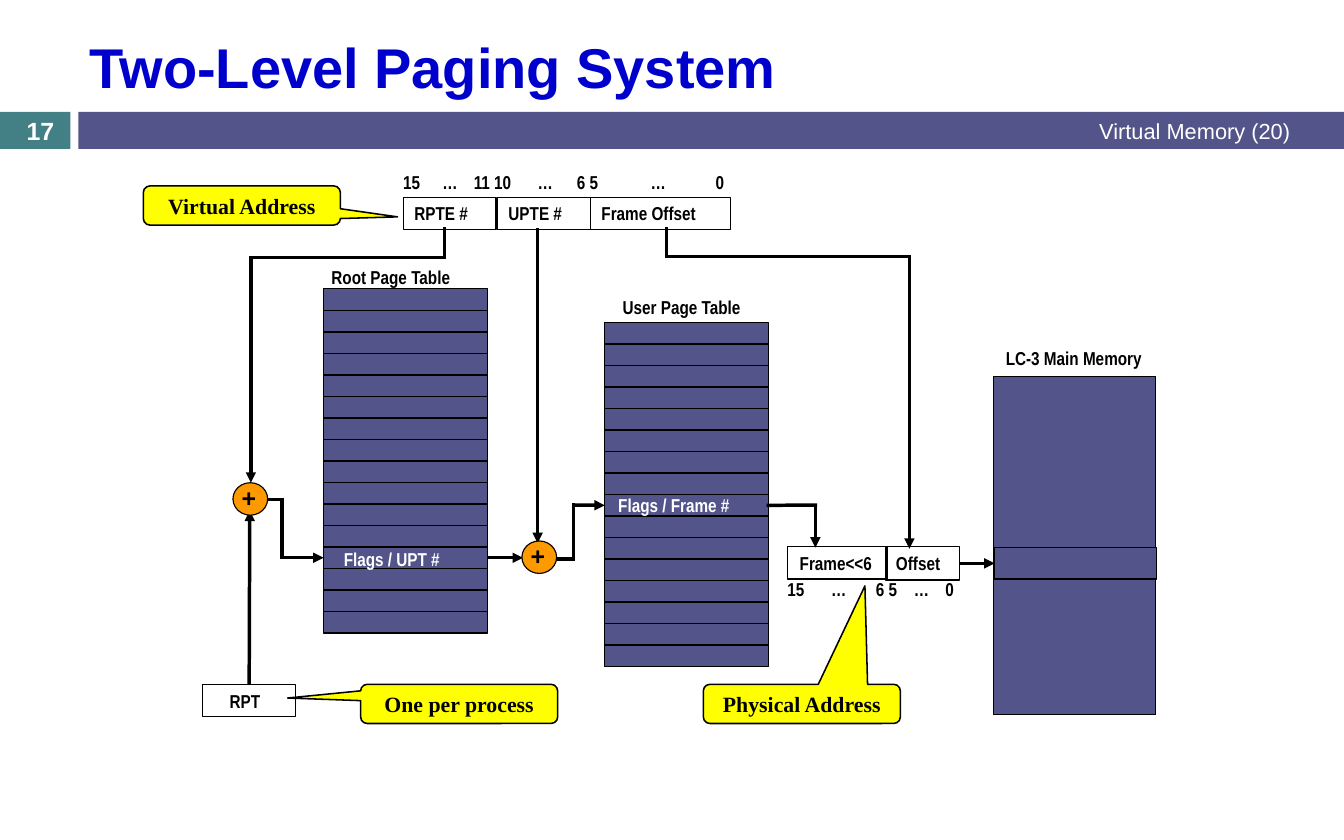
from lxml.etree import SubElement as Sub
from pptx import Presentation as Deck
from pptx.dml.color import RGBColor as Rgb
from pptx.enum.shapes import MSO_CONNECTOR as Conn, MSO_SHAPE as Kind
from pptx.enum.text import MSO_ANCHOR as Anchor, MSO_AUTO_SIZE as Auto, PP_ALIGN as Align
from pptx.oxml.ns import qn
from pptx.util import Inches, Pt

HUE = {"ink": "000000", "white": "FFFFFF", "teal": "438086", "slate": "53548A",
       "title": "0000CC", "note": "FFFF00", "sum": "FF9900"}
FONT = {
    "label": {"name": "Arial Narrow", "size": Pt(12), "bold": True},
    "note": {"name": "Times New Roman", "size": Pt(14), "bold": True},
    "sum": {"name": "Arial", "size": Pt(16), "bold": True},
    "head": {"name": "Arial", "size": Pt(14), "bold": False},
    "title": {"name": "Arial", "size": Pt(36), "bold": True},
}
FLUSH = {"margin_left": 0, "margin_top": 0, "margin_right": 0, "margin_bottom": 0}
ROWS, STEP = 16, 0.192


def put(item, form):
    for key, val in form.items():
        setattr(item, key, val)


def tint(name):
    return Rgb.from_string(HUE[name])


class Pen:
    def __init__(self, slide):
        self.slide = slide
        self.shapes = slide.shapes

    def words(self, frame, text, font, hue="ink", align=Align.LEFT, **form):
        put(frame, {"word_wrap": True, **form})
        para = frame.paragraphs[0]
        para.alignment = align
        run = para.add_run()
        run.text = text
        put(run.font, FONT[font])
        run.font.color.rgb = tint(hue)
        return para

    def title(self, text, *box):
        head = self.shapes.title
        put(head, dict(zip(("left", "top", "width", "height"), map(Inches, box))))
        self.words(head.text_frame, text, "title", "title", vertical_anchor=Anchor.MIDDLE)

    def shape(self, kind, box, fill=None, edge=0.75):
        item = self.shapes.add_shape(kind, *map(Inches, box))
        item.shadow.inherit = False
        if fill:
            item.fill.solid()
            item.fill.fore_color.rgb = tint(fill)
        else:
            item.fill.background()
        if edge:
            item.line.color.rgb = tint("ink")
            item.line.width = Pt(edge)
        else:
            item.line.fill.background()
        return item

    def box(self, *box, fill=None, edge=0.75):
        return self.shape(Kind.RECTANGLE, box, fill, edge)

    def text(self, text, *box, font="label", hue="ink", align=Align.LEFT, **form):
        item = self.shapes.add_textbox(*map(Inches, box))
        return self.words(item.text_frame, text, font, hue, align, **form)

    def label(self, text, left, top, width, hue="ink"):
        return self.text(text, left, top, width, 0.2, hue=hue,
                         auto_size=Auto.SHAPE_TO_FIT_TEXT, **FLUSH)

    def bits(self, marks, left, top, width, stops):
        para = self.label("\t".join(marks), left, top, width)
        tabs = Sub(para._p.get_or_add_pPr(), qn("a:tabLst"))
        for stop in stops:
            Sub(tabs, qn("a:tab"), pos=str(Inches(stop)), algn="l")

    def table(self, left, top):
        return [self.box(left, top + i * STEP, 1.46, STEP, fill="slate")
                for i in range(ROWS)]

    def adder(self, left, top):
        self.shape(Kind.OVAL, (left, top, 0.31, 0.29), "sum")
        self.text("+", left - 0.02, top - 0.05, 0.52, 0.37, font="sum")

    def note(self, text, left, top, tip):
        item = self.shape(Kind.ROUNDED_RECTANGULAR_CALLOUT, (left, top, 1.76, 0.35), "note", 1)
        for i, val in enumerate(tip):
            item.adjustments[i] = val
        self.words(item.text_frame, text, "note", align=Align.CENTER,
                   vertical_anchor=Anchor.MIDDLE, **FLUSH)

    def line(self, start, end, arrow):
        item = self.shapes.add_connector(Conn.STRAIGHT, *map(Inches, start + end))
        item.line.color.rgb = tint("ink")
        item.line.width = Pt(2.25)
        edge = item.line._get_or_add_ln()
        if arrow:
            Sub(edge, qn("a:tailEnd"), type="triangle")
        else:
            edge.set("cap", "sq")
        Sub(item._element.spPr, qn("a:effectLst"))
        return item

    def route(self, *spots, arrow=True, start=None, end=None):
        last = len(spots) - 2
        parts = [self.line(a, b, arrow and i == last)
                 for i, (a, b) in enumerate(zip(spots, spots[1:]))]
        if start:
            parts[0].begin_connect(*start)
        if end:
            parts[-1].end_connect(*end)


def main():
    deck = Deck()
    put(deck, {"slide_width": Inches(12), "slide_height": Inches(7.5)})
    pen = Pen(deck.slides.add_slide(deck.slide_layouts[5]))

    pen.box(0, 1, 0.63, 0.33, fill="teal", edge=0)
    pen.box(0.7, 1, 11.3, 0.33, fill="slate", edge=0)
    pen.title("Two-Level Paging System", 0.7, 0.19, 10.91, 0.8)
    pen.text("Virtual Memory (20)", 6.17, 1, 5.45, 0.33, font="head", hue="white",
             align=Align.RIGHT, vertical_anchor=Anchor.MIDDLE)
    pen.text("17", 0, 1.02, 0.72, 0.3, font="sum", hue="white",
             align=Align.CENTER, vertical_anchor=Anchor.MIDDLE)

    for name, left, width in (("RPTE #", 3.6, 0.83), ("UPTE #", 4.44, 0.83),
                              ("Frame Offset", 5.27, 1.25)):
        pen.box(left, 1.76, width, 0.29)
        pen.label(name, left + 0.1, 1.8, width)
    pen.bits(("15", "…", "11 10", "…", "6 5", "…", "0"), 3.6, 1.53, 3.02,
             (0.35, 0.63, 1.2, 1.55, 2.21, 2.79))

    root = pen.table(2.89, 2.58)[12]
    user = pen.table(5.4, 2.88)[8]
    pen.label("Root Page Table", 2.96, 2.37, 1.36)
    pen.label("User Page Table", 5.56, 2.64, 1.36)
    pen.label("Flags / UPT #", 3.07, 4.89, 1.16, "white")
    pen.label("Flags / Frame #", 5.52, 4.41, 1.32, "white")

    base = pen.box(1.81, 6.11, 0.83, 0.29)
    pen.label("RPT", 2.05, 6.16, 0.73)
    pen.box(7.03, 4.88, 0.89, 0.29)
    pen.label("Frame<<6", 7.14, 4.93, 0.85)
    shift = pen.box(7.91, 4.88, 0.66, 0.3)
    pen.label("Offset", 8, 4.93, 0.73)
    pen.bits(("15", "…", "6 5", "…", "0"), 7.03, 5.16, 1.58, (0.39, 0.79, 1.13, 1.41))

    pen.box(8.87, 3.36, 1.45, 3.02, fill="slate")
    pen.label("LC-3 Main Memory", 8.98, 3.1, 1.25)
    cell = pen.box(8.88, 4.89, 1.45, 0.28, fill="slate")

    pen.route((3.97, 2.04), (3.97, 2.3), (2.24, 2.3), (2.24, 4.31))
    pen.route((2.23, 6.11), (2.23, 4.56), start=(base, 0))
    pen.route((2.34, 4.46), (2.52, 4.46), (2.52, 4.98), (2.89, 4.98), end=(root, 1))
    pen.route((4.35, 4.98), (4.67, 4.98), start=(root, 3))
    pen.route((4.8, 2.04), (4.8, 4.85))
    pen.route((4.97, 4.99), (5.12, 4.99), (5.12, 4.51), (5.4, 4.51), end=(user, 1))
    pen.route((6.86, 4.51), (7.28, 4.51), (7.28, 4.89), start=(user, 3))
    pen.route((5.95, 2.04), (5.95, 2.29), (8.12, 2.29), (8.12, 4.9))
    pen.route((8.57, 5.03), (8.88, 5.03), start=(shift, 3), end=(cell, 1))

    pen.adder(2.08, 4.31)
    pen.adder(4.66, 4.83)
    pen.note("Virtual Address", 1.28, 1.66, (0.79, 0.29, 0.17))
    pen.note("One per process", 3.22, 6.11, (-0.87, -0.15, 0.17))
    pen.note("Physical Address", 6.28, 6.11, (0.32, -3.01, 0.17))
    deck.save("out.pptx")


if __name__ == "__main__":
    main()
